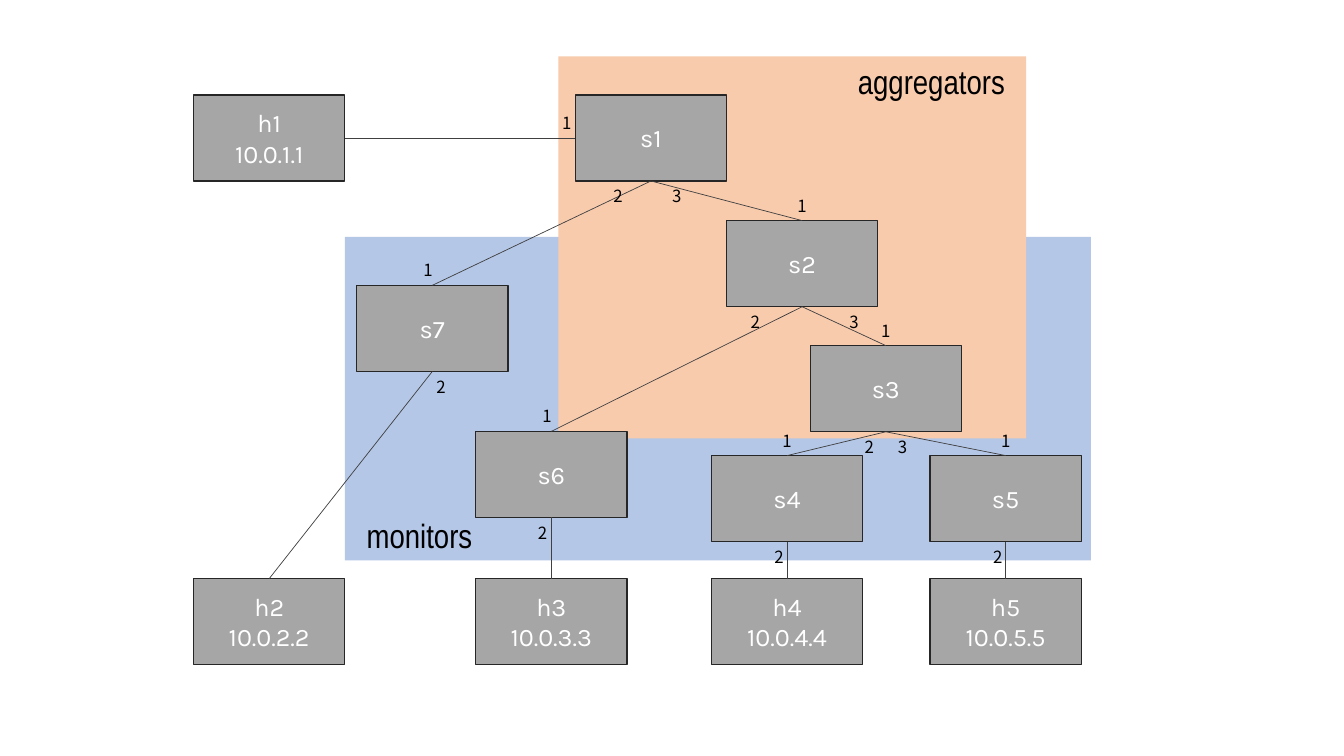
from pptx import Presentation
from pptx.dml.color import RGBColor
from pptx.enum.shapes import MSO_CONNECTOR as CONNECTOR, MSO_SHAPE as SHAPE
from pptx.enum.text import MSO_ANCHOR as ANCHOR, PP_ALIGN as ALIGN
from pptx.oxml.ns import qn
from pptx.util import Cm, Pt

# Lengths are in cm
ZONES = [  # left, top, width, height, colour
    (8.69, 5.97, 18.8, 8.15, "B4C7E7"),
    (14.07, 1.42, 11.79, 9.63, "F8CBAD"),
]
ZONE_NAMES = [  # text, left, top, width, height
    ("aggregators", 21.11, 1.42, 4.72, 1.27),
    ("monitors", 8.69, 12.85, 3.76, 1.27),
]
NODE_W, NODE_H = 3.81, 2.17
HOST_ROW = 14.58
NODES = {  # name: (left, top, address lines)
    "h1": (4.88, 2.39, ["10.0.1.1"]),
    "h2": (4.88, HOST_ROW, ["10.0.2.2"]),
    "h3": (11.99, HOST_ROW, ["10.0.3.3"]),
    "h4": (17.93, HOST_ROW, ["10.0.4.4"]),
    "h5": (23.44, HOST_ROW, ["10.0.5.5"]),
    "s1": (14.5, 2.39, []),
    "s2": (18.31, 5.56, []),
    "s3": (20.42, 8.71, []),
    "s4": (17.93, 11.48, []),
    "s5": (23.44, 11.48, []),
    "s6": (11.99, 10.87, []),
    "s7": (8.99, 7.19, []),
}
TOP, LEFT, BOTTOM, RIGHT = range(4)  # connection sites of a rectangle
LINKS = [
    ("h1", RIGHT, "s1", LEFT),
    *[(upper, BOTTOM, lower, TOP) for upper, lower in [
        ("s1", "s7"), ("s1", "s2"), ("s2", "s6"), ("s2", "s3"), ("s3", "s4"),
        ("s3", "s5"), ("s7", "h2"), ("s6", "h3"), ("s4", "h4"), ("s5", "h5")]],
]
PORTS = [  # node, side, number, offset from the middle of that side
    ("s1", LEFT, "1", 0), ("s1", BOTTOM, "2", -0.83), ("s1", BOTTOM, "3", 0.65),
    ("s2", TOP, "1", 0), ("s2", BOTTOM, "2", -1.18), ("s2", BOTTOM, "3", 1.31),
    ("s3", TOP, "1", 0), ("s3", BOTTOM, "2", -0.42), ("s3", BOTTOM, "3", 0.42),
    ("s4", TOP, "1", 0), ("s4", BOTTOM, "2", -0.2),
    ("s5", TOP, "1", 0), ("s5", BOTTOM, "2", -0.2),
    ("s6", TOP, "1", -0.11), ("s6", BOTTOM, "2", -0.22),
    ("s7", TOP, "1", -0.11), ("s7", BOTTOM, "2", 0.22),
]
PORT_W, PORT_H = 0.43, 0.76


def rgb(value):
    return RGBColor.from_string(value)


def add_rect(slide, left, top, width, height, fill, line=None):
    sp = slide.shapes.add_shape(SHAPE.RECTANGLE, Cm(left), Cm(top), Cm(width), Cm(height))
    sp.shadow.inherit = False
    sp.fill.solid()
    sp.fill.fore_color.rgb = rgb(fill)
    if line:
        sp.line.color.rgb = rgb(line)
        sp.line.width = Pt(1)
    else:
        sp.line.fill.background()
    return sp


def write(sp, lines, font, size, color):
    """Fill a shape with centred lines of text, one paragraph each."""
    tf = sp.text_frame
    tf.word_wrap = True
    tf.vertical_anchor = ANCHOR.MIDDLE
    tf.margin_left = tf.margin_right = tf.margin_top = tf.margin_bottom = 0
    for i, line in enumerate(lines):
        p = tf.add_paragraph() if i else tf.paragraphs[0]
        p.alignment = ALIGN.CENTER
        r = p.add_run()
        r.text = line
        r.font.name = font
        r.font.size = Pt(size)
        r.font.color.rgb = rgb(color)


def add_label(slide, text, left, top, width, height, font, size):
    sp = slide.shapes.add_textbox(Cm(left), Cm(top), Cm(width), Cm(height))
    write(sp, [text], font, size, "000000")


def add_link(slide, start, start_site, end, end_site):
    line = slide.shapes.add_connector(CONNECTOR.STRAIGHT, 0, 0, 0, 0)
    line.begin_connect(start, start_site)
    line.end_connect(end, end_site)
    line.line.color.rgb = rgb("404040")
    line.line.width = Pt(0.5)
    sp_pr = line._element.spPr
    sp_pr.append(sp_pr.makeelement(qn("a:effectLst"), {}))


def port_corner(node, side, offset):
    """Left and top of a port number that touches the given side."""
    left, top, _ = NODES[node]
    if side == LEFT:
        return left - PORT_W, top + NODE_H / 2 - PORT_H + offset
    x = left + (NODE_W - PORT_W) / 2 + offset
    return x, top - PORT_H if side == TOP else top + NODE_H


def main():
    prs = Presentation()
    prs.slide_width, prs.slide_height = Cm(33.87), Cm(19.05)
    slide = prs.slides.add_slide(prs.slide_layouts[6])

    for zone in ZONES:
        add_rect(slide, *zone)
    boxes = {}
    for name, (left, top, address) in NODES.items():
        boxes[name] = add_rect(slide, left, top, NODE_W, NODE_H, "A6A6A6", "262626")
        write(boxes[name], [name, *address], "Karla", 18, "FFFFFF")
    for start, start_site, end, end_site in LINKS:
        add_link(slide, boxes[start], start_site, boxes[end], end_site)
    for node, side, number, offset in PORTS:
        left, top = port_corner(node, side, offset)
        add_label(slide, number, left, top, PORT_W, PORT_H, "Noto Sans CJK JP", 12)
    for zone_name in ZONE_NAMES:
        add_label(slide, *zone_name, "Arial Narrow", 24)

    prs.save("out.pptx")


if __name__ == "__main__":
    main()
